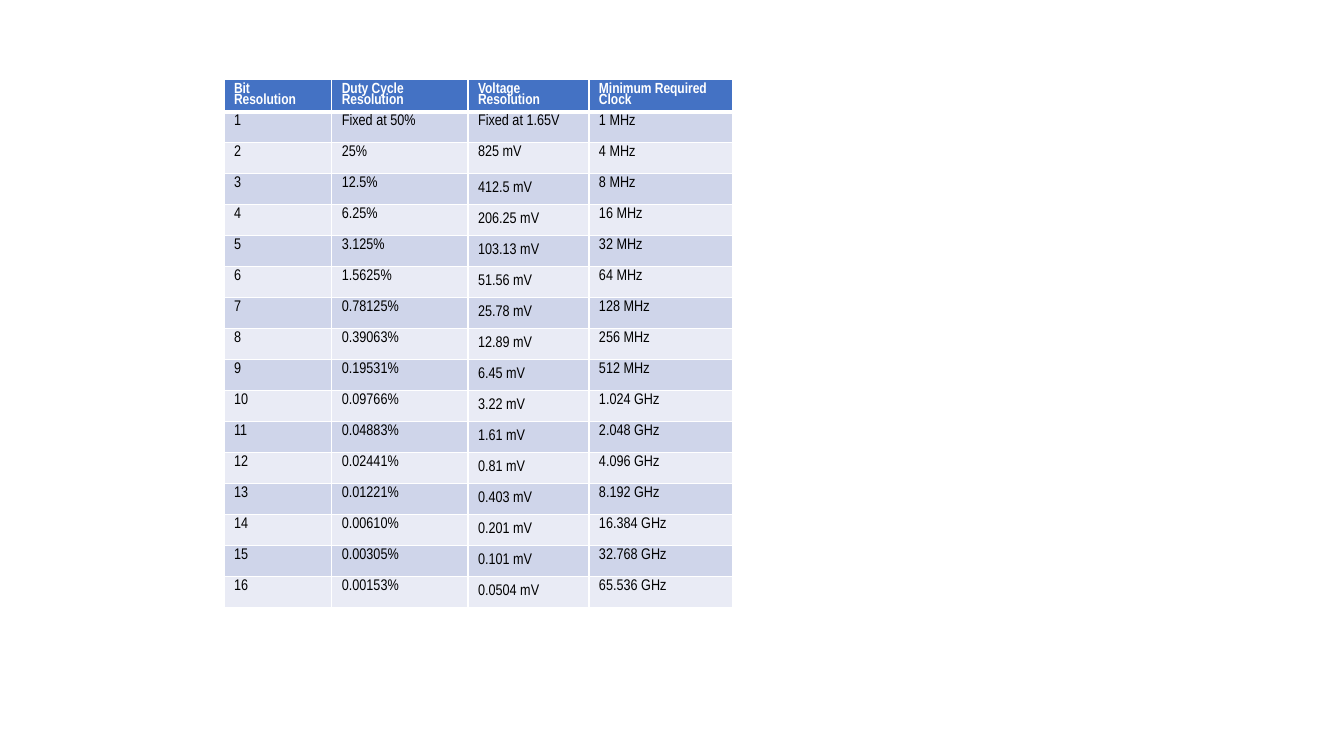
"""Build a slide with a table of PWM bit resolutions and clock rates."""
from lxml import etree
from pptx import Presentation
from pptx.dml.color import RGBColor
from pptx.enum.text import MSO_ANCHOR as Anchor
from pptx.oxml.ns import qn
from pptx.util import Pt

HEADERS = [
    ("Bit", "Resolution"),
    ("Duty Cycle", "Resolution"),
    ("Voltage", "Resolution"),
    ("Minimum Required", "Clock"),
]
RESOLUTIONS = [
    ("1", "Fixed at 50%", "Fixed at 1.65V", "1 MHz"),
    ("2", "25%", "825 mV", "4 MHz"),
    ("3", "12.5%", "412.5 mV", "8 MHz"),
    ("4", "6.25%", "206.25 mV", "16 MHz"),
    ("5", "3.125%", "103.13 mV", "32 MHz"),
    ("6", "1.5625%", "51.56 mV", "64 MHz"),
    ("7", "0.78125%", "25.78 mV", "128 MHz"),
    ("8", "0.39063%", "12.89 mV", "256 MHz"),
    ("9", "0.19531%", "6.45 mV", "512 MHz"),
    ("10", "0.09766%", "3.22 mV", "1.024 GHz"),
    ("11", "0.04883%", "1.61 mV", "2.048 GHz"),
    ("12", "0.02441%", "0.81 mV", "4.096 GHz"),
    ("13", "0.01221%", "0.403 mV", "8.192 GHz"),
    ("14", "0.00610%", "0.201 mV", "16.384 GHz"),
    ("15", "0.00305%", "0.101 mV", "32.768 GHz"),
    ("16", "0.00153%", "0.0504 mV", "65.536 GHz"),
]

WHITE = RGBColor(0xFF, 0xFF, 0xFF)
BLACK = RGBColor(0x00, 0x00, 0x00)
HEADER_BLUE = RGBColor(0x44, 0x72, 0xC4)
BANDS = (RGBColor(0xE9, 0xEB, 0xF5), RGBColor(0xCF, 0xD5, 0xEA))

FONT = "Arial Narrow"
LEFT, TOP = 160, 57
COLUMN_WIDTHS = (77, 97.3, 86.4, 102.4)
ROW_HEIGHT = 22.15
LINE_SPACING = 0.8
VOLTAGE_COLUMN = 2
FIRST_CENTERED_ROW = 3


def add_borders(cell, top, bottom):
    """Give a cell white borders of the stated widths, with 1 pt sides."""
    properties = cell._tc.get_or_add_tcPr()
    for side, width in (("L", 1), ("R", 1), ("T", top), ("B", bottom)):
        line = etree.SubElement(properties, qn(f"a:ln{side}"), w=str(Pt(width)))
        fill = etree.SubElement(line, qn("a:solidFill"))
        etree.SubElement(fill, qn("a:srgbClr"), val=str(WHITE))


def write_cell(cell, lines, size, color, bold):
    """Write the lines of a cell as runs parted by line breaks."""
    para = cell.text_frame.paragraphs[0]
    para.line_spacing = LINE_SPACING
    for index, line in enumerate(lines):
        if index:
            para.add_line_break()
        span = para.add_run()
        span.text = line
        span.font.name = FONT
        span.font.size = Pt(size)
        span.font.bold = bold
        span.font.color.rgb = color


def main():
    """Create the deck and save it."""
    deck = Presentation()
    deck.slide_width, deck.slide_height = Pt(960), Pt(540)
    page = deck.slides.add_slide(deck.slide_layouts[6])

    rows = [HEADERS] + [[(text,) for text in row] for row in RESOLUTIONS]
    frame = page.shapes.add_table(
        len(rows), len(COLUMN_WIDTHS), Pt(LEFT), Pt(TOP),
        Pt(sum(COLUMN_WIDTHS)), Pt(ROW_HEIGHT * len(rows)))
    table = frame.table
    table.horz_banding = False
    for column, width in zip(table.columns, COLUMN_WIDTHS):
        column.width = Pt(width)

    for row_index, row in enumerate(rows):
        table.rows[row_index].height = Pt(ROW_HEIGHT)
        is_header = row_index == 0
        for column_index, lines in enumerate(row):
            cell = table.cell(row_index, column_index)
            add_borders(cell, 3 if row_index == 1 else 1, 3 if is_header else 1)
            cell.fill.solid()
            cell.fill.fore_color.rgb = HEADER_BLUE if is_header else BANDS[row_index % 2]
            if column_index == VOLTAGE_COLUMN and row_index >= FIRST_CENTERED_ROW:
                cell.vertical_anchor = Anchor.MIDDLE
            if is_header:
                write_cell(cell, lines, 10.5, WHITE, True)
            else:
                write_cell(cell, lines, 11, BLACK, False)

    deck.save("out.pptx")


if __name__ == "__main__":
    main()
